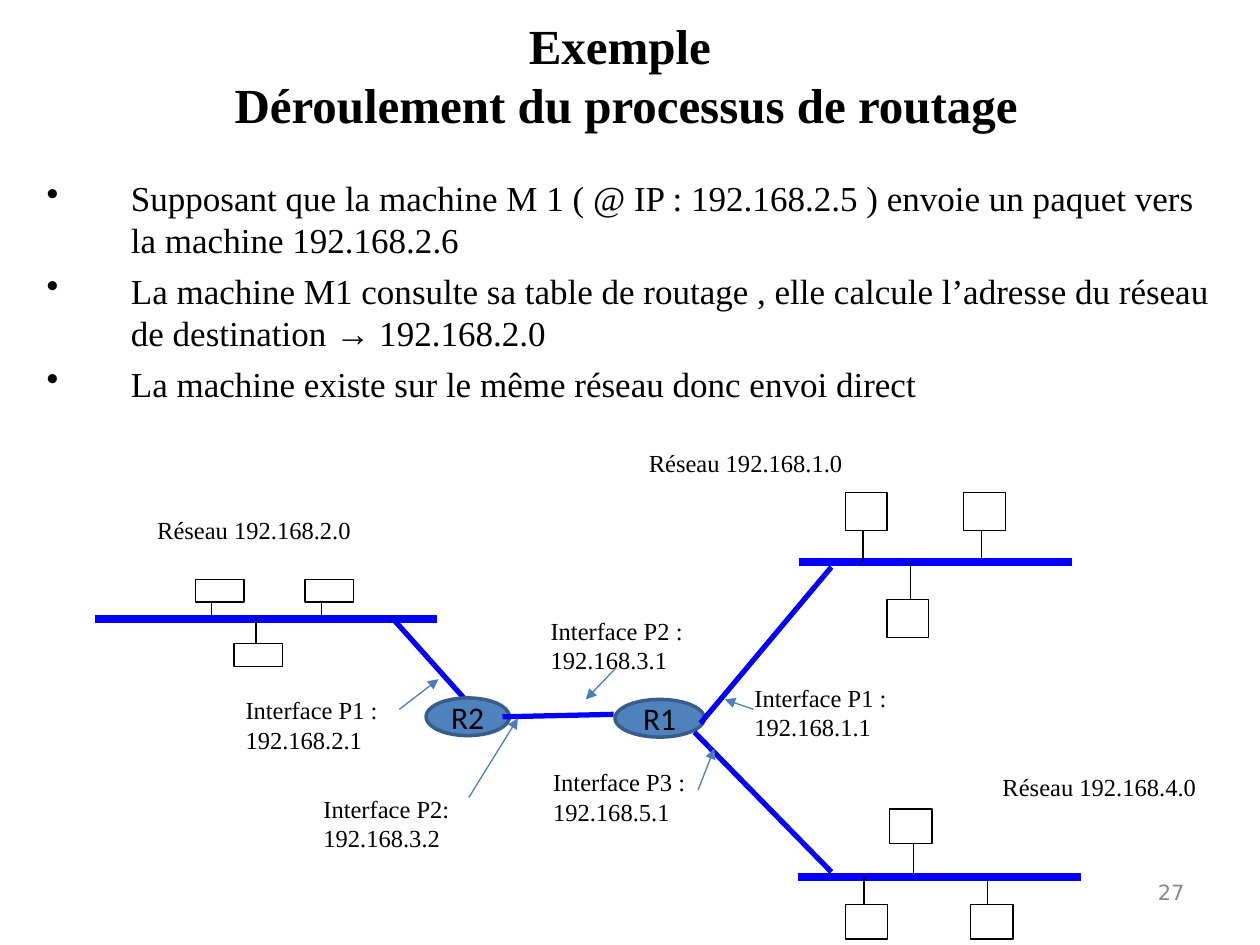
"""Build the routing example slide with its network diagram."""
from lxml.etree import SubElement
from pptx import Presentation
from pptx.dml.color import RGBColor
from pptx.enum.shapes import MSO_CONNECTOR, MSO_SHAPE
from pptx.enum.text import MSO_ANCHOR, PP_ALIGN
from pptx.oxml.ns import qn
from pptx.util import Cm, Pt

SERIF = "Times New Roman"
BLACK, WHITE, BLUE, GREY = "000000", "FFFFFF", "0000FF", "898989"
ROUTER_FILL, ROUTER_LINE, POINTER = "4F81BD", "385D8A", "4A7EBB"

TITLE = "Exemple \vDéroulement du processus de routage"
BULLETS = [
    [("Supposant que la machine M 1 ( @ IP : 192.168.2.5 ) envoie un paquet vers la machine 192.168.2.6", SERIF)],
    [("La machine M1 consulte sa table de routage , elle calcule l’adresse du réseau de destination ", SERIF),
     ("→", "Arial"), (" 192.168.2.0", SERIF)],
    [("La machine existe sur le même réseau donc envoi direct", SERIF)],
]
NETWORKS = [
    {"bus": (1.91, 8.81, 12.47), "size": (0.98, 0.46),
     "hosts": [(3.94, 11.68, 4.27), (6.15, 11.68, 6.48), (4.72, 12.98, 5.16)]},
    {"bus": (16.1, 21.62, 11.33), "size": (0.84, 0.76),
     "hosts": [(17.04, 9.93, 17.4), (19.43, 9.93, 19.79), (17.88, 12.09, 18.36)]},
    {"bus": (16.08, 21.79, 17.68), "size": (0.86, 0.69),
     "hosts": [(17.04, 18.24, 17.42), (19.56, 18.24, 19.91), (17.93, 16.31, 18.41)]},
]
ROUTERS = [("R2", 8.59, 14.07, 1.68, 0.76), ("R1", 12.4, 14.1, 1.8, 0.76)]
LINK_BEHIND = (7.9, 12.45, 9.35, 14.07)
LINKS_IN_FRONT = [
    (12.37, 14.4, 10.13, 14.45),
    (14.12, 14.58, 16.76, 11.43),
    (14.0, 14.76, 16.76, 17.58),
]
NETWORK_LABELS = [
    ("Réseau 192.168.2.0", 2.92, 10.24),
    ("Réseau 192.168.1.0", 12.83, 8.89),
    ("Réseau 192.168.4.0", 19.96, 15.42),
]
INTERFACE_LABELS = [
    (["Interface P1 :", "192.168.2.1"], 4.7, 13.89, 3.18),
    (["Interface P1 :", "192.168.1.1"], 14.96, 13.64, 3.18),
    (["Interface P2:", "192.168.3.2"], 6.27, 15.88, 3.05),
    (["Interface P2 :", "192.168.3.1"], 10.85, 12.29, 3.18),
    (["Interface P3 :", "192.168.5.1"], 10.9, 15.34, 3.18),
]
POINTERS = [
    (12.42, 13.46, 11.81, 14.1),
    (14.07, 15.93, 14.4, 15.09),
    (15.19, 14.3, 14.61, 14.1),
    (9.45, 16.08, 10.44, 14.48),
    (8.05, 14.3, 8.84, 13.69),
]


def color(value):
    return RGBColor.from_string(value)


def style(para, size, font=SERIF, ink=BLACK, bold=False, align=PP_ALIGN.LEFT):
    para.alignment = align
    para.font.size = Pt(size)
    para.font.name = font
    para.font.bold = bold
    para.font.color.rgb = color(ink)


def add_text(page, lines, area, size, anchor=MSO_ANCHOR.TOP, wrap=True, **look):
    box = page.shapes.add_textbox(*map(Cm, area))
    frame = box.text_frame
    frame.word_wrap = wrap
    frame.vertical_anchor = anchor
    for index, line in enumerate(lines):
        para = frame.add_paragraph() if index else frame.paragraphs[0]
        para.text = line
        style(para, size, **look)


def add_bullets(page, area):
    frame = page.shapes.add_textbox(*map(Cm, area)).text_frame
    frame.word_wrap = True
    for index, parts in enumerate(BULLETS):
        para = frame.add_paragraph() if index else frame.paragraphs[0]
        style(para, 20)
        para.space_before = Pt(5)
        for text, font in parts:
            span = para.add_run()
            span.text = text
            if font != SERIF:
                span.font.name = font
        properties = para._p.get_or_add_pPr()
        properties.set("marL", str(Cm(1.7)))
        properties.set("indent", str(-Cm(1.7)))
        bullet = properties.makeelement(qn("a:buChar"), {"char": "•"})
        properties.find(qn("a:defRPr")).addprevious(bullet)


def add_line(page, ends, ink, width, arrow=False):
    line = page.shapes.add_connector(MSO_CONNECTOR.STRAIGHT, *map(Cm, ends))
    line.line.color.rgb = color(ink)
    line.line.width = Pt(width)
    if arrow:
        SubElement(line.line._get_or_add_ln(), qn("a:tailEnd"), type="triangle")
    SubElement(line._element.spPr, qn("a:effectLst"))


def add_node(page, kind, area, fill, ink, width):
    node = page.shapes.add_shape(kind, *map(Cm, area))
    node.shadow.inherit = False
    node.fill.solid()
    node.fill.fore_color.rgb = color(fill)
    node.line.color.rgb = color(ink)
    node.line.width = Pt(width)
    return node


def add_router(page, name, *area):
    frame = add_node(page, MSO_SHAPE.OVAL, area, ROUTER_FILL, ROUTER_LINE, 2).text_frame
    frame.vertical_anchor = MSO_ANCHOR.MIDDLE
    frame.text = name
    style(frame.paragraphs[0], 18, font="Calibri", align=PP_ALIGN.CENTER)


def add_network(page, bus, size, hosts):
    start, end, level = bus
    add_line(page, (start, level, end, level), BLUE, 4.5)
    for left, top, stub in hosts:
        add_node(page, MSO_SHAPE.RECTANGLE, (left, top, *size), WHITE, BLACK, 0.75)
        edge = top + size[1] if top < level else top
        add_line(page, (stub, edge, stub, level), BLACK, 0.75)


def main():
    deck = Presentation()
    deck.slide_width, deck.slide_height = Cm(25.4), Cm(19.05)
    page = deck.slides.add_slide(deck.slide_layouts[6])

    add_text(page, [TITLE], (1.19, 0.41, 22.86, 2.18), 28,
             anchor=MSO_ANCHOR.MIDDLE, bold=True, align=PP_ALIGN.CENTER)
    add_bullets(page, (0.69, 3.44, 24.1, 5.02))

    add_line(page, LINK_BEHIND, BLUE, 3)
    for router in ROUTERS:
        add_router(page, *router)
    for network in NETWORKS:
        add_network(page, **network)
    for link in LINKS_IN_FRONT:
        add_line(page, link, BLUE, 3)
    for text, left, top in NETWORK_LABELS:
        add_text(page, [text], (left, top, 4.42, 0.86), 14,
                 anchor=MSO_ANCHOR.MIDDLE, wrap=False)
    for lines, left, top, width in INTERFACE_LABELS:
        add_text(page, lines, (left, top, width, 1.45), 14, wrap=False)
    for pointer in POINTERS:
        add_line(page, pointer, POINTER, 0.75, arrow=True)

    add_text(page, ["27"], (18.21, 17.35, 5.92, 1.27), 12, anchor=MSO_ANCHOR.MIDDLE,
             font="DejaVu Sans", ink=GREY, align=PP_ALIGN.RIGHT)
    deck.save("out.pptx")


if __name__ == "__main__":
    main()
